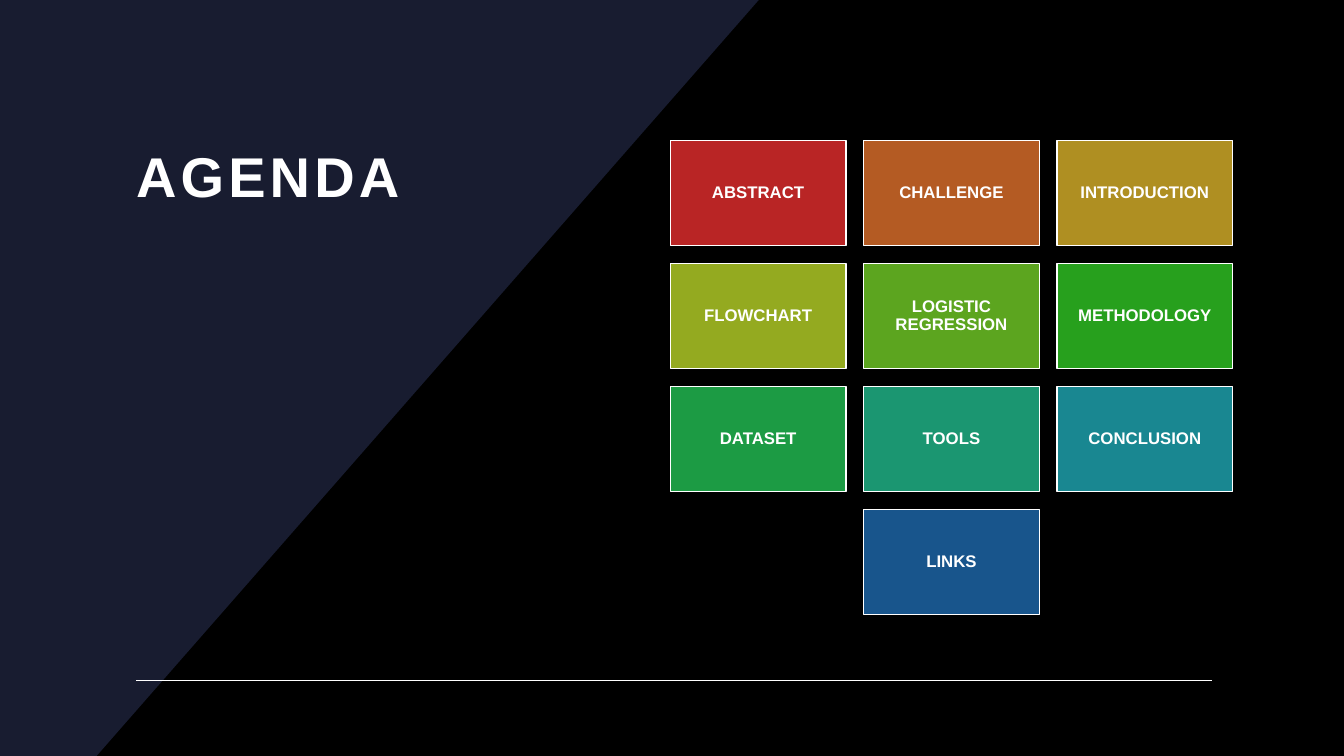
from pptx import Presentation
from pptx.dml.color import RGBColor
from pptx.enum import shapes, text
from pptx.oxml.ns import qn
from pptx.util import Pt
from lxml import etree

BLACK = RGBColor(0x00, 0x00, 0x00)
NAVY = RGBColor(0x18, 0x1C, 0x30)
WHITE = RGBColor(0xFF, 0xFF, 0xFF)

# Topic, tile colour, column, row
TOPICS = [
    ("ABSTRACT", RGBColor(0xB9, 0x25, 0x25), 0, 0),
    ("CHALLENGE", RGBColor(0xB4, 0x5B, 0x23), 1, 0),
    ("INTRODUCTION", RGBColor(0xAF, 0x8F, 0x22), 2, 0),
    ("FLOWCHART", RGBColor(0x94, 0xAA, 0x20), 0, 1),
    ("LOGISTIC REGRESSION", RGBColor(0x5C, 0xA5, 0x1F), 1, 1),
    ("METHODOLOGY", RGBColor(0x27, 0xA0, 0x1D), 2, 1),
    ("DATASET", RGBColor(0x1C, 0x9B, 0x44), 0, 2),
    ("TOOLS", RGBColor(0x1B, 0x96, 0x71), 1, 2),
    ("CONCLUSION", RGBColor(0x19, 0x87, 0x91), 2, 2),
    ("LINKS", RGBColor(0x18, 0x55, 0x8C), 1, 3),
]
GRID_LEFT, GRID_TOP = 478.8, 100.2
TILE_WIDTH, TILE_HEIGHT = 125.5, 75.3
TILE_GAP = 12.6


def style_font(paragraph, size):
    paragraph.font.name = "Arial"
    paragraph.font.size = Pt(size)
    paragraph.font.bold = True
    paragraph.font.color.rgb = WHITE


agenda = Presentation()
agenda.slide_width, agenda.slide_height = Pt(960), Pt(540)
slide = agenda.slides.add_slide(agenda.slide_layouts[5])
slide.background.fill.solid()
slide.background.fill.fore_color.rgb = BLACK

# Title
title = slide.shapes.title
title.left, title.top, title.width, title.height = Pt(90), Pt(93), Pt(278), Pt(123)
title.text_frame.text = "AGENDA"
title.text_frame.auto_size = text.MSO_AUTO_SIZE.NONE
title.text_frame.vertical_anchor = text.MSO_ANCHOR.TOP
heading = title.text_frame.paragraphs[0]
heading.alignment = text.PP_ALIGN.LEFT
heading.line_spacing = 1.1
style_font(heading, 40)
heading.runs[0].font._element.set("spc", "300")

# Slanted panel, placed behind the title
outline = slide.shapes.build_freeform(0, 0, scale=Pt(1))
outline.add_line_segments([(542, 0), (69, 540), (0, 540)], close=True)
panel = outline.convert_to_shape()
panel.shadow.inherit = False
panel.fill.solid()
panel.fill.fore_color.rgb = NAVY
panel.line.fill.background()
title.element.addprevious(panel.element)

# Footer rule
rule = slide.shapes.add_connector(
    shapes.MSO_CONNECTOR.STRAIGHT, Pt(97.2), Pt(486), Pt(865.4), Pt(486))
rule.line.color.rgb = WHITE
rule.line.width = Pt(1)
etree.SubElement(rule.element.spPr, qn("a:effectLst"))

# Topic tiles
for topic, colour, column, row in TOPICS:
    tile = slide.shapes.add_shape(
        shapes.MSO_SHAPE.RECTANGLE,
        Pt(GRID_LEFT + column * (TILE_WIDTH + TILE_GAP)),
        Pt(GRID_TOP + row * (TILE_HEIGHT + TILE_GAP)),
        Pt(TILE_WIDTH), Pt(TILE_HEIGHT))
    tile.shadow.inherit = False
    tile.fill.solid()
    tile.fill.fore_color.rgb = colour
    tile.line.color.rgb = WHITE
    tile.line.width = Pt(1)

    frame = tile.text_frame
    frame.margin_left = frame.margin_right = Pt(3.6)
    frame.margin_top = frame.margin_bottom = Pt(3.6)
    frame.word_wrap = True
    frame.vertical_anchor = text.MSO_ANCHOR.MIDDLE
    frame.text = topic
    label = frame.paragraphs[0]
    label.alignment = text.PP_ALIGN.CENTER
    label.line_spacing = 0.9
    style_font(label, 12)

agenda.save("out.pptx")
